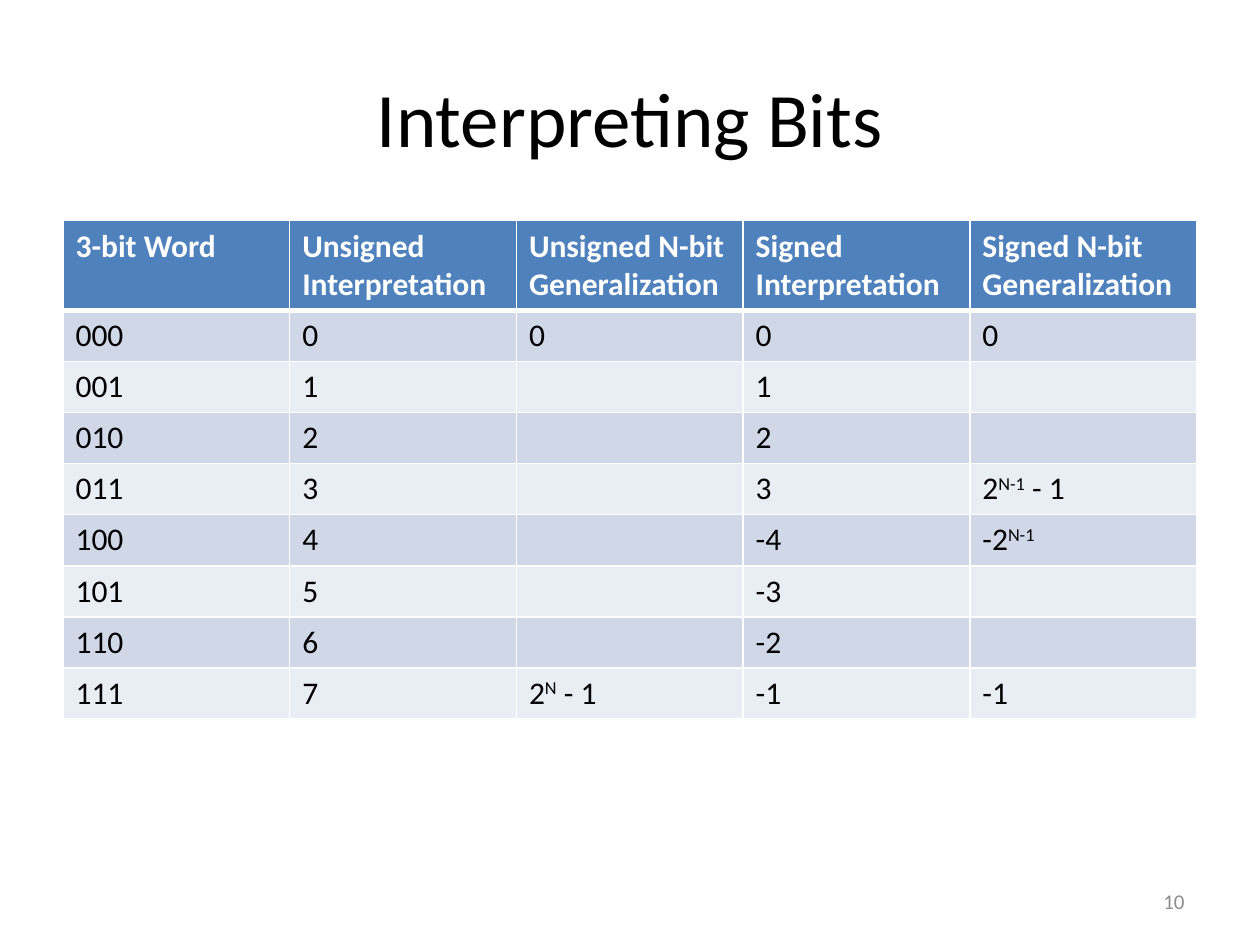
from lxml import etree
from pptx import Presentation
from pptx.dml.color import RGBColor
from pptx.enum.text import MSO_ANCHOR, PP_ALIGN
from pptx.oxml.ns import qn
from pptx.util import Cm, Pt

CENTER, RIGHT = PP_ALIGN.CENTER, PP_ALIGN.RIGHT
MIDDLE = MSO_ANCHOR.MIDDLE
TITLE_ONLY = 5
FONT = "Calibri"
COLORS = {
    "text": "000000",
    "white": "FFFFFF",
    "header": "4F81BD",
    "band_dark": "D0D8E8",
    "band_light": "E9EDF4",
    "number": "8C8C8C",
}
COL_WIDTH, HEADER_HEIGHT, ROW_HEIGHT = Cm(4.57), Cm(1.78), Cm(1.03)

# Text between carets is superscript.
ROWS = [
    ["3-bit Word", "Unsigned Interpretation", "Unsigned N-bit Generalization",
     "Signed Interpretation", "Signed N-bit Generalization"],
    ["000", "0", "0", "0", "0"],
    ["001", "1", "", "1", ""],
    ["010", "2", "", "2", ""],
    ["011", "3", "", "3", "2^N-1^ - 1"],
    ["100", "4", "", "-4", "-2^N-1^"],
    ["101", "5", "", "-3", ""],
    ["110", "6", "", "-2", ""],
    ["111", "7", "2^N^ - 1", "-1", "-1"],
]


def rgb(name):
    """Return the named colour."""
    return RGBColor.from_string(COLORS[name])


def format_run(r, size, color, bold=False):
    """Set the font of a run."""
    r.font.name = FONT
    r.font.size = Pt(size)
    r.font.bold = bold
    r.font.color.rgb = rgb(color)


def set_text(sp, text, size, color, align):
    """Write one vertically centred line into a shape."""
    tf = sp.text_frame
    tf.word_wrap = True
    tf.vertical_anchor = MIDDLE
    p = tf.paragraphs[0]
    p.text = text
    p.alignment = align
    format_run(p.runs[0], size, color)


def add_title(s, text):
    """Place and fill the title placeholder."""
    sp = s.shapes.title
    sp.left, sp.top, sp.width, sp.height = Cm(1.27), Cm(0.76), Cm(22.86), Cm(3.18)
    set_text(sp, text, 44, "text", CENTER)


def add_slide_number(s, text):
    """Add the slide number at the bottom right."""
    sp = s.shapes.add_textbox(Cm(18.2), Cm(17.65), Cm(5.93), Cm(1.02))
    set_text(sp, text, 12, "number", RIGHT)


def set_borders(cell, bottom):
    """Draw white cell borders, the bottom one with its own width."""
    tc_pr = cell._tc.get_or_add_tcPr()
    for side, width in (("L", 1), ("R", 1), ("T", 1), ("B", bottom)):
        ln = etree.SubElement(tc_pr, qn(f"a:ln{side}"), w=str(Pt(width)))
        fill = etree.SubElement(ln, qn("a:solidFill"))
        etree.SubElement(fill, qn("a:srgbClr"), val=COLORS["white"])


def fill_cell(cell, text, fill, color, bold, bottom):
    """Format a cell and write its text with superscripts."""
    set_borders(cell, bottom)
    cell.fill.solid()
    cell.fill.fore_color.rgb = rgb(fill)
    p = cell.text_frame.paragraphs[0]
    p.font.size = Pt(18)
    for i, part in enumerate(text.split("^")):
        if part:
            r = p.add_run()
            r.text = part
            format_run(r, 18, color, bold)
            if i % 2:
                r._r.get_or_add_rPr().set("baseline", "30000")


def add_bits_table(s, rows):
    """Add the banded table with its header row."""
    n_rows, n_cols = len(rows), len(rows[0])
    height = HEADER_HEIGHT + ROW_HEIGHT * (n_rows - 1)
    table = s.shapes.add_table(n_rows, n_cols, Cm(1.27), Cm(4.45),
                               COL_WIDTH * n_cols, height).table
    for col in table.columns:
        col.width = COL_WIDTH
    for i, row in enumerate(rows):
        header = i == 0
        table.rows[i].height = HEADER_HEIGHT if header else ROW_HEIGHT
        band = "band_dark" if i % 2 else "band_light"
        for j, text in enumerate(row):
            fill_cell(table.cell(i, j), text,
                      fill="header" if header else band,
                      color="white" if header else "text",
                      bold=header,
                      bottom=3 if header else 1)


def main():
    """Build and save the slide."""
    prs = Presentation()
    prs.slide_width, prs.slide_height = Cm(25.4), Cm(19.05)
    s = prs.slides.add_slide(prs.slide_layouts[TITLE_ONLY])
    add_title(s, "Interpreting Bits")
    add_bits_table(s, ROWS)
    add_slide_number(s, "10")
    prs.save("out.pptx")


main()
